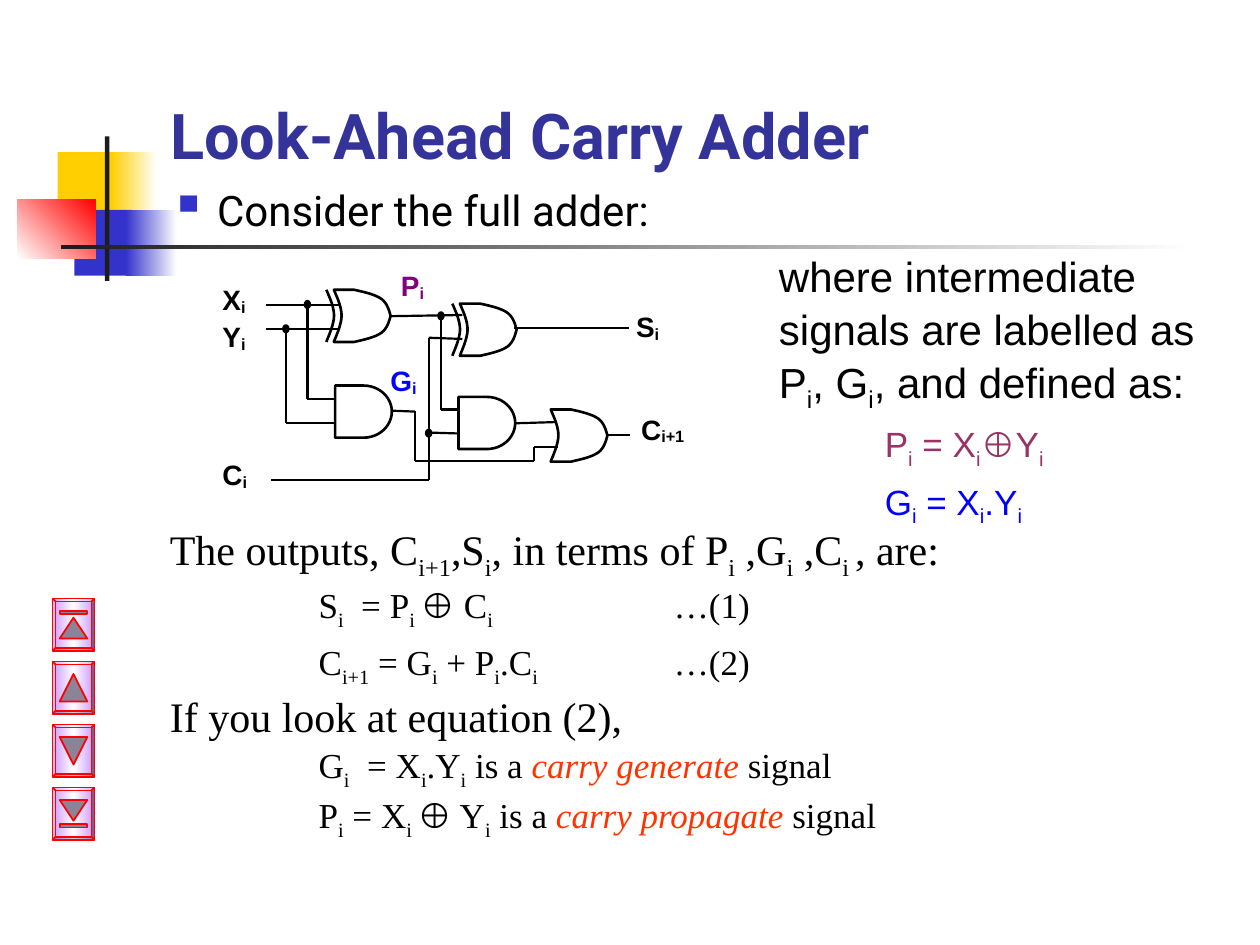
from lxml import etree
from pptx import Presentation
from pptx.dml.color import RGBColor
from pptx.enum.shapes import MSO_CONNECTOR, MSO_SHAPE
from pptx.enum.text import MSO_ANCHOR
from pptx.oxml.ns import qn
from pptx.util import Pt
from copy import deepcopy

RECT, OVAL = MSO_SHAPE.RECTANGLE, MSO_SHAPE.OVAL
BEVEL, PEAK = MSO_SHAPE.BEVEL, MSO_SHAPE.ISOSCELES_TRIANGLE
DELAY = MSO_SHAPE.FLOWCHART_DELAY
STRAIGHT = MSO_CONNECTOR.STRAIGHT
BOTTOM = MSO_ANCHOR.BOTTOM
BLACK, BLUE, RED, WHITE = "000000", "0000FF", "FF0000", "FFFFFF"
SANS, SERIF, HEAD = "Arial", "Times New Roman", "Roboto"


def tint(hue):
    return RGBColor.from_string(hue)


def blend(fill, hues, angle=0):
    """Fill with evenly spaced gradient stops."""
    fill.gradient()
    fill.gradient_angle = angle
    stops = fill.gradient_stops
    stem = stops[0]._gs
    for _ in hues[2:]:
        stem.addnext(deepcopy(stem))
    for i, (stop, hue) in enumerate(zip(fill.gradient_stops, hues)):
        stop.position = i / (len(hues) - 1)
        stop.color.rgb = tint(hue)


def paint(shape, fill=None, line=None, width=1.25, angle=0):
    """Fill with nothing, one hex colour, or a list of gradient colours."""
    shape.shadow.inherit = False
    if fill is None:
        shape.fill.background()
    elif isinstance(fill, str):
        shape.fill.solid()
        shape.fill.fore_color.rgb = tint(fill)
    else:
        blend(shape.fill, fill, angle)
    if line:
        shape.line.color.rgb = tint(line)
        shape.line.width = Pt(width)
    else:
        shape.line.fill.background()
    return shape


def put(slide, kind, box, *look, **more):
    return paint(slide.shapes.add_shape(kind, *map(Pt, box)), *look, **more)


def write(par, text, size, font, hue=BLACK, bold=False, italic=False, drop=25):
    """Add runs; every second part between bars is a subscript."""
    for i, part in enumerate(text.split("|")):
        if not part:
            continue
        run = par.add_run()
        run.text = part
        run.font.size, run.font.name = Pt(size), font
        run.font.bold, run.font.italic = bold, italic
        run.font.color.rgb = tint(hue)
        if i % 2:
            run._r.get_or_add_rPr().set("baseline", str(-1000 * drop))


def frame(slide, box):
    text = slide.shapes.add_textbox(*map(Pt, box)).text_frame
    text.word_wrap = True
    return text


def lines(text, rows, font, stops):
    """Fill a frame with rows of (size, space before, run pieces)."""
    for i, (size, gap, bits) in enumerate(rows):
        par = text.add_paragraph() if i else text.paragraphs[0]
        tabs = etree.SubElement(par._p.get_or_add_pPr(), qn("a:tabLst"))
        for stop in stops:
            etree.SubElement(tabs, qn("a:tab"), pos=str(Pt(stop)), algn="l")
        par.line_spacing = 1.05
        if gap:
            par.space_before = Pt(gap)
        for words, look in bits:
            write(par, words, size, **{"font": font, **look})


def decor(slide, x, y):
    gold, navy, dark = "FFCF01", "3333CC", "1C1C1C"
    for left, top, wide, high, fill, angle in (
            (23, 9, 34.5, 37.5, gold, 0),
            (53.5, 9, 26, 37.5, [gold, WHITE], 0),
            (32.5, 42, 33, 37.5, navy, 0),
            (62, 42, 29, 37.5, [navy, WHITE], 0),
            (0, 36, 44.5, 33.5, [WHITE, RED], 45),
            (50, 0, 2.5, 82.5, dark, 0),
            (25, 62, 648, 2.5, [dark, WHITE], 0)):
        put(slide, RECT, (x + left, y + top, wide, high), fill, angle=angle)


def heading(slide, box):
    title = slide.shapes.title
    title.left, title.top, title.width, title.height = map(Pt, box)
    text = title.text_frame
    text.vertical_anchor = BOTTOM
    par = text.paragraphs[0]
    par.alignment = 1
    write(par, "Look-Ahead Carry Adder", 36, HEAD, "333399", True)


def lead(slide, box):
    par = frame(slide, box).paragraphs[0]
    props = par._p.get_or_add_pPr()
    props.set("marL", str(Pt(27)))
    props.set("indent", str(Pt(-27)))
    hue = etree.SubElement(props, qn("a:buClr"))
    etree.SubElement(hue, qn("a:srgbClr"), val="3333CC")
    etree.SubElement(props, qn("a:buSzPct"), val="120000")
    etree.SubElement(props, qn("a:buChar"), char="▪")
    write(par, "Consider the full adder:", 24, HEAD)


def terms(slide, box):
    plum, blue = {"hue": "993366"}, {"hue": BLUE}
    text = frame(slide, box)
    lines(text, (
        (24, 0, [("where intermediate signals are labelled as P|i|, G|i|, "
                  "and defined as:", {})]),
        (20, 4, [("\tP|i| = X|i|⊕Y|i", plum)]),
        (20, 4, [("\tG|i| = X|i|.Y|i", blue)])), SANS, [60.5])


def results(slide, box):
    sign, term = ("⊕", {"font": SANS}), {"hue": "FF3300", "italic": True}
    lines(frame(slide, box), (
        (24, 0, [("The outputs, C|i+1|,S|i|, in terms of P|i| ,G|i| ,C|i |, are:",
                  {})]),
        (20, 0, [("\tS|i|  = P|i ", {}), sign, (" C|i|\t…(1)", {})]),
        (20, 4, [("\tC|i+1| = G|i| + P|i|.C|i|\t…(2)", {})]),
        (24, 0, [("If you look at equation (2),", {})]),
        (20, 0, [("\tG|i|  = X|i|.Y|i| is a ", {}),
                 ("carry generate", term), (" signal", {})]),
        (20, 0, [("\tP|i| = X|i ", {}), sign, (" Y|i| is a ", {}),
                 ("carry propagate", term), (" signal", {})])),
        SERIF, [85, 288])


def curve(a, b, c, d, steps=8):
    """Points along a cubic Bezier, without its start."""
    for t in (i / steps for i in range(1, steps + 1)):
        u = 1 - t
        yield tuple(u**3 * p + 3 * u * u * t * q + 3 * u * t * t * r + t**3 * s
                    for p, q, r, s in zip(a, b, c, d))


def trace(slide, x, y, points, close):
    spots = [(Pt(x + p), Pt(y + q)) for p, q in points]
    path = slide.shapes.build_freeform(*spots[0], scale=1.0)
    path.add_line_segments(spots[1:], close=close)
    paint(path.convert_to_shape(), None, BLACK, 1.5)


def gate(slide, x, y, xor):
    """An OR gate, with a second back arc for XOR."""
    high, mid = 29.8, 14.9
    back = [(0, 0), *curve((0, 0), (2.2, 5), (4.4, 10), (4.4, mid)),
            *curve((4.4, mid), (4.4, 20), (0.8, 27.5), (0, high))]
    nose = [(11.6, 0), *curve((11.6, 0), (17.4, 1.3), (23.8, 2.7), (27.4, 5.4)),
            *curve((27.4, 5.4), (30.5, 7.9), (31.5, 11.5), (32.4, mid))]
    lower = [(p, high - q) for p, q in nose]
    trace(slide, x, y, back + lower + nose[-2::-1], True)
    if xor:
        trace(slide, x - 4.3, y, back, False)


def wire(slide, x, y, a, b, c, d):
    line = slide.shapes.add_connector(
        STRAIGHT, Pt(x + a), Pt(y + b), Pt(x + c), Pt(y + d))
    line.line.color.rgb = tint(BLACK)
    line.line.width = Pt(1.25)
    etree.SubElement(line._element.spPr, qn("a:effectLst"))


def circuit(slide, x, y):
    for ends in (
            (32, 24.2, 73.7, 24.2), (32, 37.9, 73.7, 37.9),
            (103.2, 30.7, 144.2, 30), (55.7, 78.2, 71.5, 78.2),
            (55.7, 24.2, 55.7, 78.2), (43.4, 37.9, 43.4, 91.9),
            (43.4, 91.9, 71.5, 91.9), (104, 84.7, 117, 85.2),
            (125, 43, 144.2, 43.7), (174, 37.2, 239.3, 37.2),
            (132, 84, 141.5, 84), (132, 29.5, 132, 84),
            (125, 43, 125, 124.3), (117, 113.5, 185.3, 113.5),
            (174.5, 91.9, 197, 91.2), (34.8, 124.3, 125, 124.3),
            (125, 97.2, 142, 97.7), (117, 113.5, 117, 84.7),
            (185.3, 105.6, 199, 105.6), (185.3, 113.5, 185.3, 105.6),
            (226.5, 98.4, 240, 98.4)):
        wire(slide, x, y, *ends)
    for left, top in ((43.4, 37.9), (55.7, 24), (125, 97.5), (132, 30.5)):
        put(slide, OVAL, (x + left - 1.5, y + top - 2, 3, 4), BLACK, BLACK)
    for left, top in ((71.5, 70.3), (142, 76.8)):
        put(slide, DELAY, (x + left, y + top, 32.4, 29.8), None, BLACK, 1.5)
    for left, top, xor in ((70.8, 15.6, True), (142.8, 23.5, True),
                           (194.7, 84, False)):
        gate(slide, x + left, y + top, xor)
    for left, top, wide, high, names, hue in (
            (0, 6, 34, 42, ["X|i", "Y|i"], BLACK),
            (236.4, 23.5, 33, 35, ["S|i"], BLACK),
            (239.3, 82, 49, 28, ["C|i+1"], BLACK),
            (0, 108, 34, 24, ["C|i"], BLACK),
            (102, 0, 36, 26.5, ["P|i"], "800080"),
            (96, 54.5, 39, 21.5, ["G|i"], BLUE)):
        text = frame(slide, (x + left, y + top, wide, high))
        for i, name in enumerate(names):
            par = text.add_paragraph() if i else text.paragraphs[0]
            par.line_spacing = 1.1 if len(names) > 1 else 1.0
            write(par, name, 16, SANS, hue, True, drop=10)


def button(slide, x, y, down, bar):
    gray = "8C8496"
    base = put(slide, BEVEL, (x, y, 24, 30),
               ["CC99FF", WHITE, "CC99FF"], RED, 1)
    base.adjustments[0] = 0.07
    high = 11.9 if bar else 15.8
    top = 7.1 if down else 22.9 - high
    peak = put(slide, PEAK, (x + 4.1, y + top, 15.8, high), gray, RED, 1)
    peak.rotation = 180 if down else 0
    if bar:
        put(slide, RECT, (x + 4.1, y + (21 if down else 7.1), 15.8, 1.9),
            gray, RED, 1)


def main():
    deck = Presentation()
    deck.slide_width, deck.slide_height = Pt(720), Pt(540)
    slide = deck.slides.add_slide(deck.slide_layouts[5])
    decor(slide, 10, 78)
    heading(slide, (90, 12, 612, 90))
    lead(slide, (90, 102, 612, 42))
    terms(slide, (438, 138, 270, 150))
    results(slide, (90, 294, 612, 186))
    circuit(slide, 120, 150)
    for i, (down, bar) in enumerate(
            ((False, True), (False, False), (True, False), (True, True))):
        button(slide, 30, 342 + 36 * i, down, bar)
    deck.save("out.pptx")


if __name__ == "__main__":
    main()
